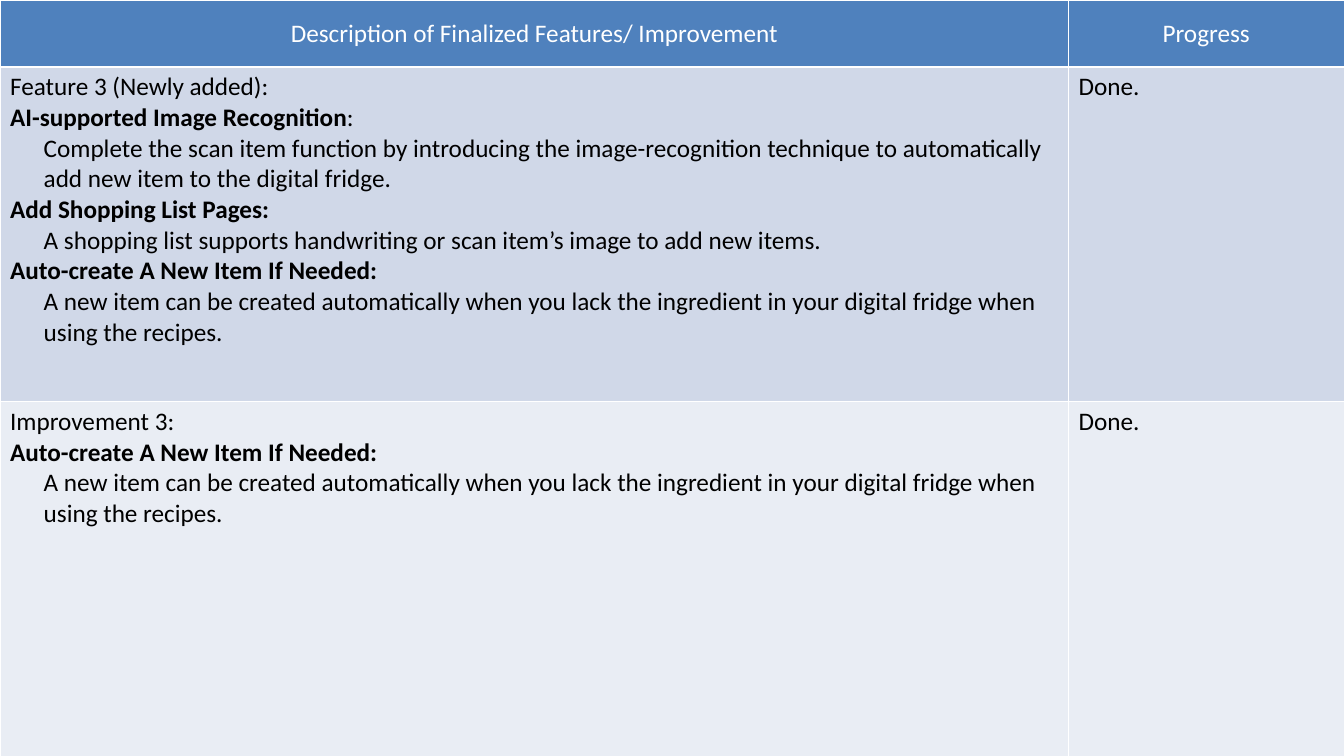
from lxml import etree
from pptx import Presentation
from pptx.dml.color import RGBColor
from pptx.enum.text import MSO_ANCHOR, PP_ALIGN
from pptx.oxml.ns import qn
from pptx.util import Pt

EMU_PER_PX = 9144  # 100 px to the inch
SLIDE_WIDTH, SLIDE_HEIGHT = 2000, 1125
COLUMN_WIDTHS = [1590, 410]
ROW_HEIGHTS = [100, 498, 527]

WHITE = RGBColor(0xFF, 0xFF, 0xFF)
BLACK = RGBColor(0x00, 0x00, 0x00)
HEADER_BLUE = RGBColor(0x4F, 0x81, 0xBD)
BAND_DARK = RGBColor(0xD0, 0xD8, 0xE8)
BAND_LIGHT = RGBColor(0xE9, 0xED, 0xF4)

CENTER, LEFT = PP_ALIGN.CENTER, PP_ALIGN.LEFT
MIDDLE, TOP = MSO_ANCHOR.MIDDLE, MSO_ANCHOR.TOP

PLAIN, HEADING, DETAIL = "plain", "heading", "detail"

HEADERS = ["Description of Finalized Features/ Improvement", "Progress"]
AUTO_CREATE = [
    (HEADING, "Auto-create A New Item If Needed:"),
    (DETAIL, "A new item can be created automatically when you lack the "
             "ingredient in your digital fridge when using the recipes."),
]
FEATURE = [
    (PLAIN, "Feature 3 (Newly added):"),
    (HEADING, "AI-supported Image Recognition", ":"),
    (DETAIL, "Complete the scan item function by introducing the image-recognition "
             "technique to automatically add new item to the digital fridge."),
    (HEADING, "Add Shopping List Pages:"),
    (DETAIL, "A shopping list supports handwriting or scan item’s image to add new items."),
    *AUTO_CREATE,
]
IMPROVEMENT = [(PLAIN, "Improvement 3:"), *AUTO_CREATE]
DONE = [(PLAIN, "Done.")]


def px(length):
    return length * EMU_PER_PX


class ProgressSlide:
    font_name = "Calibri"
    font_size = Pt(27)
    margin_x, margin_y = 15, 7
    detail_indent = 50

    def __init__(self, slide):
        self.slide = slide

    def add_table(self, column_widths, row_heights):
        frame = self.slide.shapes.add_table(
            len(row_heights), len(column_widths), 0, 0,
            px(sum(column_widths)), px(sum(row_heights)))
        table = frame.table
        table.first_row = table.horz_banding = False
        for column, width in zip(table.columns, column_widths):
            column.width = px(width)
        for row, height in zip(table.rows, row_heights):
            row.height = px(height)
        return table

    def set_borders(self, cell, bottom_width):
        properties = cell._tc.get_or_add_tcPr()
        for side, width in (("L", 1), ("R", 1), ("T", 1), ("B", bottom_width)):
            line = etree.SubElement(properties, qn(f"a:ln{side}"), w=str(Pt(width)))
            fill = etree.SubElement(line, qn("a:solidFill"))
            etree.SubElement(fill, qn("a:srgbClr"), val=str(WHITE))

    def style_cell(self, cell, color, anchor, bottom_width=1):
        self.set_borders(cell, bottom_width)
        cell.fill.solid()
        cell.fill.fore_color.rgb = color
        cell.vertical_anchor = anchor
        cell.margin_left = cell.margin_right = px(self.margin_x)
        cell.margin_top = cell.margin_bottom = px(self.margin_y)

    def write_paragraph(self, paragraph, kind, texts, color, alignment):
        """Write one run per text; only the first run of a heading is bold."""
        paragraph.alignment = alignment
        if kind == DETAIL:
            paragraph.level = 1
            properties = paragraph._p.get_or_add_pPr()
            properties.set("marL", str(px(self.detail_indent)))
            properties.set("indent", "0")
        font = paragraph.font
        font.name, font.size, font.color.rgb = self.font_name, self.font_size, color
        for index, text in enumerate(texts):
            run = paragraph.add_run()
            run.text = text
            # Runs repeat the paragraph font, since table cells ignore its default
            run.font.name, run.font.size = self.font_name, self.font_size
            run.font.color.rgb = color
            run.font.bold = kind == HEADING and index == 0

    def write_cell(self, cell, lines, color, alignment=LEFT):
        frame = cell.text_frame
        for index, (kind, *texts) in enumerate(lines):
            paragraph = frame.add_paragraph() if index else frame.paragraphs[0]
            self.write_paragraph(paragraph, kind, texts, color, alignment)


def main():
    presentation = Presentation()
    presentation.slide_width = px(SLIDE_WIDTH)
    presentation.slide_height = px(SLIDE_HEIGHT)
    blank_layout = presentation.slide_layouts[6]
    progress = ProgressSlide(presentation.slides.add_slide(blank_layout))

    table = progress.add_table(COLUMN_WIDTHS, ROW_HEIGHTS)
    for column, header in enumerate(HEADERS):
        cell = table.cell(0, column)
        progress.style_cell(cell, HEADER_BLUE, MIDDLE, bottom_width=3)
        progress.write_cell(cell, [(PLAIN, header)], WHITE, CENTER)

    body = [(BAND_DARK, FEATURE), (BAND_LIGHT, IMPROVEMENT)]
    for row, (band, description) in enumerate(body, start=1):
        for column, lines in enumerate((description, DONE)):
            cell = table.cell(row, column)
            progress.style_cell(cell, band, TOP)
            progress.write_cell(cell, lines, BLACK)

    presentation.save("out.pptx")


if __name__ == "__main__":
    main()
